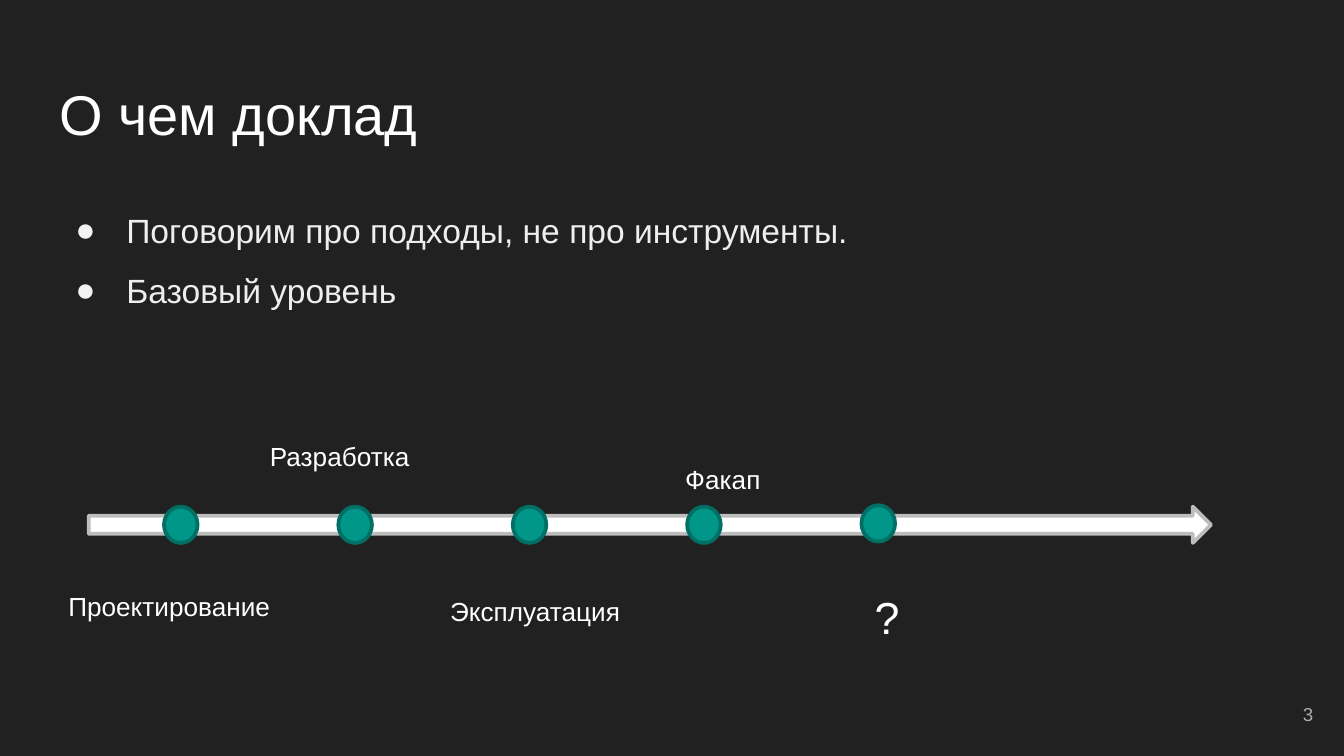
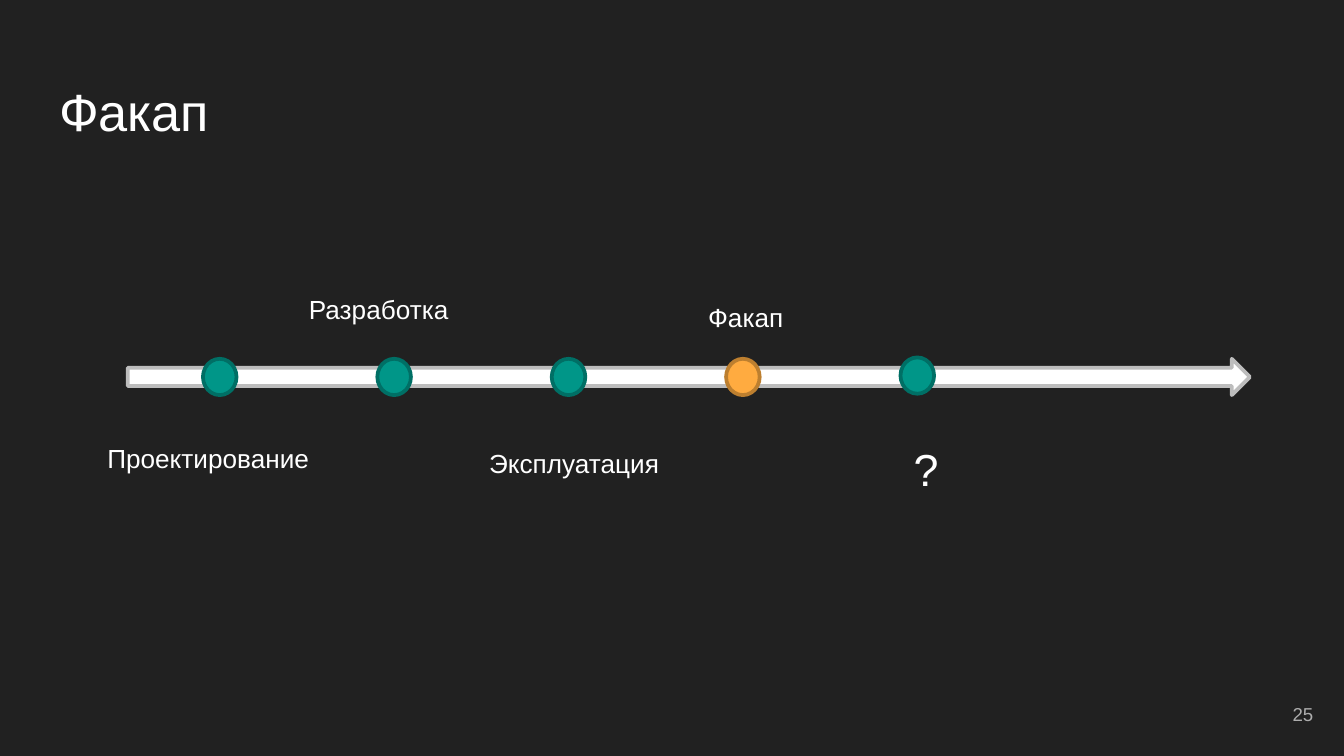
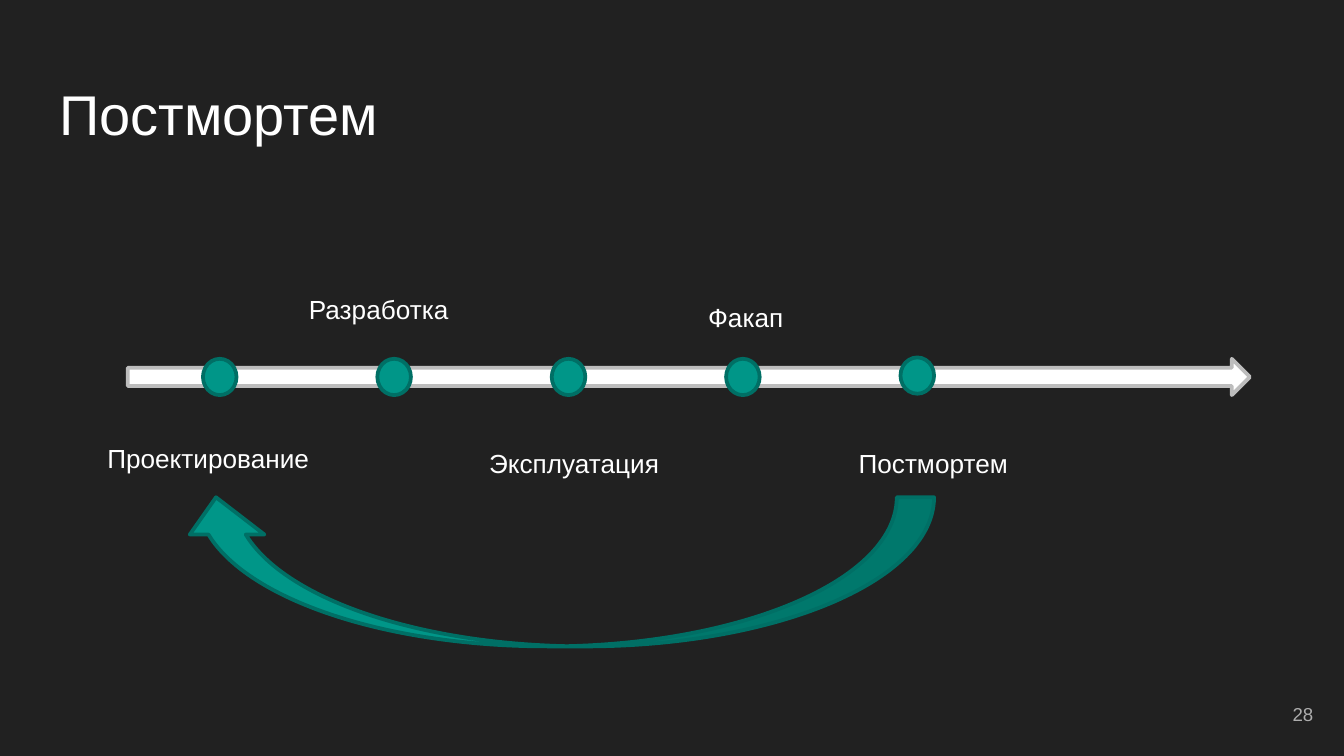
from dataclasses import dataclass

from lxml import etree
from pptx import Presentation
from pptx.dml.color import RGBColor
from pptx.enum.shapes import MSO_SHAPE
from pptx.enum.text import MSO_ANCHOR, MSO_AUTO_SIZE, PP_ALIGN
from pptx.oxml.ns import qn
from pptx.util import Inches, Pt

RIGHT_ARROW = MSO_SHAPE.RIGHT_ARROW
CURVED_ARROW = MSO_SHAPE.CURVED_UP_ARROW
OVAL = MSO_SHAPE.OVAL
TOP, MIDDLE = MSO_ANCHOR.TOP, MSO_ANCHOR.MIDDLE
LEFT, RIGHT = PP_ALIGN.LEFT, PP_ALIGN.RIGHT
NO_AUTOFIT = MSO_AUTO_SIZE.NONE

CONTENT_LAYOUT, TITLE_ONLY_LAYOUT = 1, 5
SLIDE_WIDTH = 10
SLIDE_HEIGHT = SLIDE_WIDTH * 9 / 16

FONT = "Arial"
BACKGROUND = "212121"
WHITE = "FFFFFF"
BODY_COLOR = "EEEEEE"
BULLET_COLOR = "F3F3F3"
NUMBER_COLOR = "ADADAD"
AXIS_LINE = "BDBDBD"
TEAL, TEAL_LINE = "009688", "006F65"
ORANGE, ORANGE_LINE = "FFAB40", "BD7F2F"

TITLE_BOX = (0.34, 0.49, 9.32, 0.63)
BODY_BOX = (0.34, 1.31, 9.32, 1.27)
NUMBER_BOX = (9.27, 5.1, 0.6, 0.43)
RETURN_ARROW_BOX = (1.33, 3.7, 5.62, 1.11)

AXIS_WIDTH, AXIS_HEIGHT = 8.35, 0.27
DOT_WIDTH = 0.25
DOT_COUNT = 5
FIRST_DOT, LAST_DOT = 0.56, 5.75
LAST_DOT_LIFT = 0.01
LABEL_HEIGHT = 0.46


@dataclass(frozen=True)
class Label:
    """Caption placed relative to the top left corner of the timeline."""
    text: str
    left: float
    top: float
    width: float
    size: int = 14


@dataclass(frozen=True)
class TimelineSlide:
    title: str
    number: int
    axis_left: float
    axis_top: float
    labels: tuple[Label, ...]
    title_size: int = 30
    bullets: tuple[str, ...] = ()
    highlighted_dot: int | None = None
    has_return_arrow: bool = False


STAGES = (
    Label("Проектирование", -0.25, 0.52, 1.86),
    Label("Разработка", 1.25, -0.59, 1.47),
    Label("Эксплуатация", 2.59, 0.56, 1.61),
)
QUESTION = Label("?", 5.75, 0.52, 0.76, 24)
FAILURE = Label("Факап", 4.22, -0.53, 1.01)
LOW_FAILURE = Label("Факап", 4.34, -0.42, 1.01)
POSTMORTEM = Label("Постмортем", 5.34, 0.56, 1.96)

SLIDES = (
    TimelineSlide(
        "О чем доклад", 3, 0.66, 3.77, (*STAGES, QUESTION, LOW_FAILURE),
        bullets=("Поговорим про подходы, не про инструменты.", "Базовый уровень"),
    ),
    TimelineSlide(
        "Факап", 25, 0.95, 2.67, (*STAGES, QUESTION, FAILURE),
        title_size=28, highlighted_dot=3,
    ),
    TimelineSlide(
        "Постмортем", 28, 0.95, 2.67, (*STAGES, FAILURE, POSTMORTEM),
        has_return_arrow=True,
    ),
)


def color(value: str) -> RGBColor:
    return RGBColor.from_string(value)


def place(shape, box: tuple) -> None:
    shape.left, shape.top, shape.width, shape.height = map(Inches, box)


def write(shape, lines: tuple[str, ...], size: int, text_color: str,
          align=LEFT, anchor=TOP) -> None:
    """Fill a text shape, one paragraph a line, in the shared style."""
    frame = shape.text_frame
    frame.text = "\n".join(lines)
    frame.word_wrap = True
    frame.auto_size = NO_AUTOFIT
    frame.vertical_anchor = anchor
    frame.margin_left = frame.margin_right = Inches(0.1)
    frame.margin_top = frame.margin_bottom = Inches(0.1)
    for paragraph in frame.paragraphs:
        paragraph.alignment = align
        for run in paragraph.runs:
            run.font.name = FONT
            run.font.size = Pt(size)
            run.font.color.rgb = color(text_color)


def add_text(slide, box: tuple, text: str, size: int, text_color: str,
             align=LEFT, anchor=TOP) -> None:
    text_box = slide.shapes.add_textbox(*map(Inches, box))
    write(text_box, (text,), size, text_color, align, anchor)


def add_figure(slide, kind, box: tuple, fill: str, line: str):
    shape = slide.shapes.add_shape(kind, *map(Inches, box))
    shape.shadow.inherit = False
    shape.fill.solid()
    shape.fill.fore_color.rgb = color(fill)
    shape.line.color.rgb = color(line)
    shape.line.width = Pt(2)
    return shape


def add_bullet(paragraph) -> None:
    paragraph.line_spacing = 1.5
    paragraph.space_before = Pt(0)
    properties = paragraph._p.get_or_add_pPr()
    properties.set("marL", str(Inches(0.5)))
    properties.set("indent", str(Inches(-0.38)))
    bullet_color = etree.SubElement(properties, qn("a:buClr"))
    etree.SubElement(bullet_color, qn("a:srgbClr"), val=BULLET_COLOR)
    etree.SubElement(properties, qn("a:buFont"), typeface=FONT)
    etree.SubElement(properties, qn("a:buChar"), char="●")


def add_timeline(slide, content: TimelineSlide) -> None:
    left, top = content.axis_left, content.axis_top
    add_figure(slide, RIGHT_ARROW, (left, top, AXIS_WIDTH, AXIS_HEIGHT), WHITE, AXIS_LINE)
    step = (LAST_DOT - FIRST_DOT) / (DOT_COUNT - 1)
    for index in range(DOT_COUNT):
        lift = LAST_DOT_LIFT if index == DOT_COUNT - 1 else 0
        box = (left + FIRST_DOT + index * step, top - lift, DOT_WIDTH, AXIS_HEIGHT)
        highlighted = index == content.highlighted_dot
        fill, line = (ORANGE, ORANGE_LINE) if highlighted else (TEAL, TEAL_LINE)
        add_figure(slide, OVAL, box, fill, line)
    for label in content.labels:
        box = (left + label.left, top + label.top, label.width, LABEL_HEIGHT)
        add_text(slide, box, label.text, label.size, WHITE)


def add_return_arrow(slide) -> None:
    arrow = add_figure(slide, CURVED_ARROW, RETURN_ARROW_BOX, TEAL, TEAL_LINE)
    arrow._element.spPr.get_or_add_xfrm().set("flipH", "1")


def add_slide(presentation, content: TimelineSlide) -> None:
    layout = CONTENT_LAYOUT if content.bullets else TITLE_ONLY_LAYOUT
    slide = presentation.slides.add_slide(presentation.slide_layouts[layout])
    title = slide.shapes.title
    place(title, TITLE_BOX)
    write(title, (content.title,), content.title_size, WHITE)
    if content.bullets:
        body = slide.placeholders[1]
        place(body, BODY_BOX)
        write(body, content.bullets, 18, BODY_COLOR)
        for paragraph in body.text_frame.paragraphs:
            add_bullet(paragraph)
    add_timeline(slide, content)
    if content.has_return_arrow:
        add_return_arrow(slide)
    add_text(slide, NUMBER_BOX, str(content.number), 10, NUMBER_COLOR, RIGHT, MIDDLE)


def main() -> None:
    presentation = Presentation()
    presentation.slide_width = Inches(SLIDE_WIDTH)
    presentation.slide_height = Inches(SLIDE_HEIGHT)
    background = presentation.slide_master.background.fill
    background.solid()
    background.fore_color.rgb = color(BACKGROUND)
    for content in SLIDES:
        add_slide(presentation, content)
    presentation.save("out.pptx")


if __name__ == "__main__":
    main()
